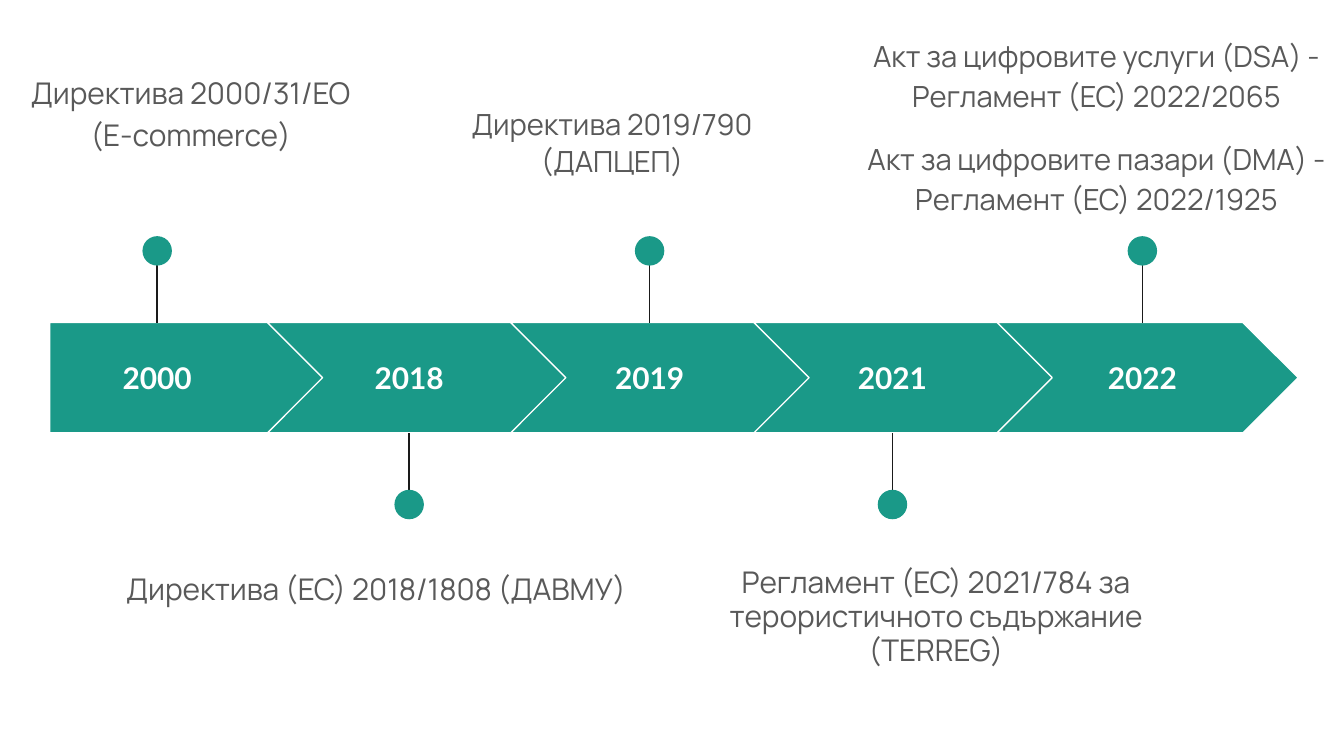
from dataclasses import dataclass

from lxml import etree
from pptx import Presentation
from pptx.dml.color import RGBColor
from pptx.enum import shapes, text
from pptx.oxml.ns import qn
from pptx.util import Pt

COLORS = {"teal": "1A9988", "white": "FFFFFF", "ink": "1A1A1A", "grey": "595959"}
BAND_TOP, BAND_H = 172.8, 59.1
BAND_LEFT, FIRST_W = 26.6, 147.6
CHEVRON_LEFT, CHEVRON_W, CHEVRON_STEP = 143.3, 161.3, 130.3
YEAR_W, YEAR_H = 104, 36.8
DOT, STEM = 15.8, 43.6


@dataclass(frozen=True)
class Label:
    left: float
    top: float
    width: float
    height: float
    lines: tuple[str, ...]
    size: float
    spacing: float
    after: float = 12


@dataclass(frozen=True)
class Event:
    year: str
    center: float
    above: bool
    label: Label


EVENTS = (
    Event("2000", 84.2, True, Label(
        5, 30.2, 194.4, 71.3, ("Директива 2000/31/ЕО (E-commerce)",), 16, 1.15)),
    Event("2018", 219.2, False, Label(
        43.2, 295.9, 316.8, 71.3, ("Директива (ЕС) 2018/1808 (ДАВМУ)",), 16, 1.15, 16)),
    Event("2019", 348, True, Label(
        211.7, 49, 232.6, 53.3, ("Директива 2019/790 (ДАПЦЕП)",), 15.6, 1.05)),
    Event("2021", 478.1, False, Label(
        355.7, 295.9, 291.6, 71.3,
        ("Регламент (ЕС) 2021/784 за терористичното съдържание (TERREG)",), 16, 0.95)),
    Event("2022", 612, True, Label(
        455, 10.8, 265, 110.9,
        ("Акт за цифровите услуги (DSA) - Регламент (ЕС) 2022/2065",
         "Акт за цифровите пазари (DMA) - Регламент (ЕС) 2022/1925"), 15.6, 1.15)),
)


def color(name: str) -> RGBColor:
    return RGBColor.from_string(COLORS[name])


def add_filled(s, kind, left: float, top: float, width: float, height: float):
    sp = s.shapes.add_shape(kind, Pt(left), Pt(top), Pt(width), Pt(height))
    sp.shadow.inherit = False
    sp.fill.solid()
    sp.fill.fore_color.rgb = color("teal")
    sp.line.fill.background()
    return sp


def add_text(s, left: float, top: float, width: float, height: float,
             lines: tuple[str, ...], font: str, size: float, ink: str, bold: bool = False):
    tf = s.shapes.add_textbox(Pt(left), Pt(top), Pt(width), Pt(height)).text_frame
    tf.word_wrap = True
    tf.margin_left = tf.margin_right = tf.margin_top = tf.margin_bottom = Pt(7.2)
    tf.text = "\n".join(lines)
    for p in tf.paragraphs:
        p.alignment = text.PP_ALIGN.CENTER
        p.font.name, p.font.size, p.font.bold = font, Pt(size), bold
        p.font.color.rgb = color(ink)
    return tf


def add_arrow(s, index: int) -> None:
    if index == 0:
        kind, left, width = shapes.MSO_SHAPE.PENTAGON, BAND_LEFT, FIRST_W
    else:
        kind, width = shapes.MSO_SHAPE.CHEVRON, CHEVRON_W
        left = CHEVRON_LEFT + (index - 1) * CHEVRON_STEP
    sp = add_filled(s, kind, left, BAND_TOP, width, BAND_H)
    sp.adjustments[0] = 0.5
    sp.line.color.rgb = color("white")
    sp.line.width = Pt(0.75)


def add_pin(s, event: Event) -> None:
    if event.above:
        edge = BAND_TOP
        tip, dot_top = edge - STEM, edge - STEM - 2.7
    else:
        edge = BAND_TOP + BAND_H
        tip, dot_top = edge + STEM, edge + STEM + 2.7 - DOT
    stem = s.shapes.add_connector(
        shapes.MSO_CONNECTOR.STRAIGHT, Pt(event.center), Pt(tip), Pt(event.center), Pt(edge))
    stem.line.color.rgb = color("ink")
    stem.line.width = Pt(0.75)
    etree.SubElement(stem._element.spPr, qn("a:effectLst"))
    add_filled(s, shapes.MSO_SHAPE.OVAL, event.center - DOT / 2, dot_top, DOT, DOT)


def add_label(s, label: Label) -> None:
    tf = add_text(s, label.left, label.top, label.width, label.height,
                  label.lines, "Manrope", label.size, "grey")
    for p in tf.paragraphs:
        p.line_spacing = label.spacing
    for p in tf.paragraphs[1:]:
        p.space_before = Pt(12)
    tf.paragraphs[-1].space_after = Pt(label.after)


def add_event(s, index: int, event: Event) -> None:
    add_arrow(s, index)
    tf = add_text(s, event.center - YEAR_W / 2, BAND_TOP + (BAND_H - YEAR_H) / 2,
                  YEAR_W, YEAR_H, (event.year,), "Lato", 16, "white", True)
    tf.vertical_anchor = text.MSO_ANCHOR.MIDDLE
    add_pin(s, event)
    add_label(s, event.label)


def main() -> None:
    prs = Presentation()
    prs.slide_width, prs.slide_height = Pt(720), Pt(405)
    s = prs.slides.add_slide(prs.slide_layouts[6])
    for index, event in enumerate(EVENTS):
        add_event(s, index, event)
    prs.save("out.pptx")


if __name__ == "__main__":
    main()
